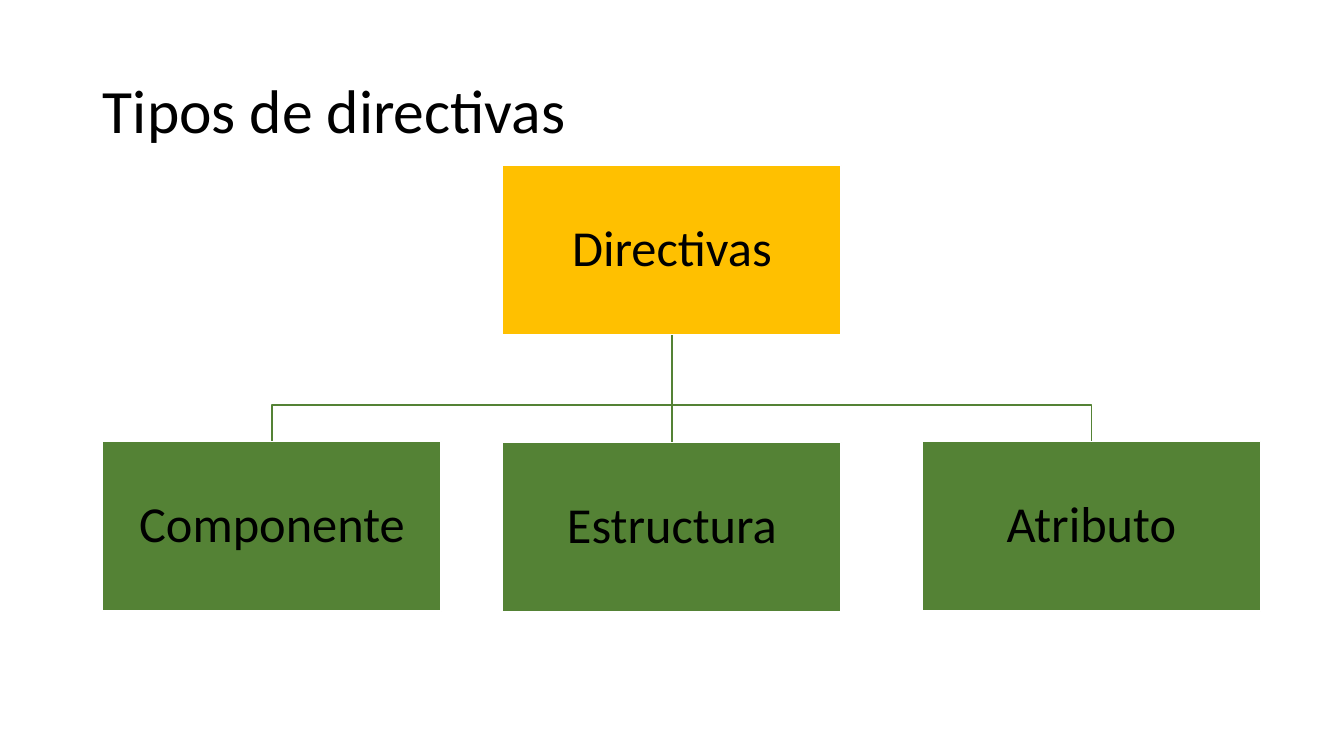
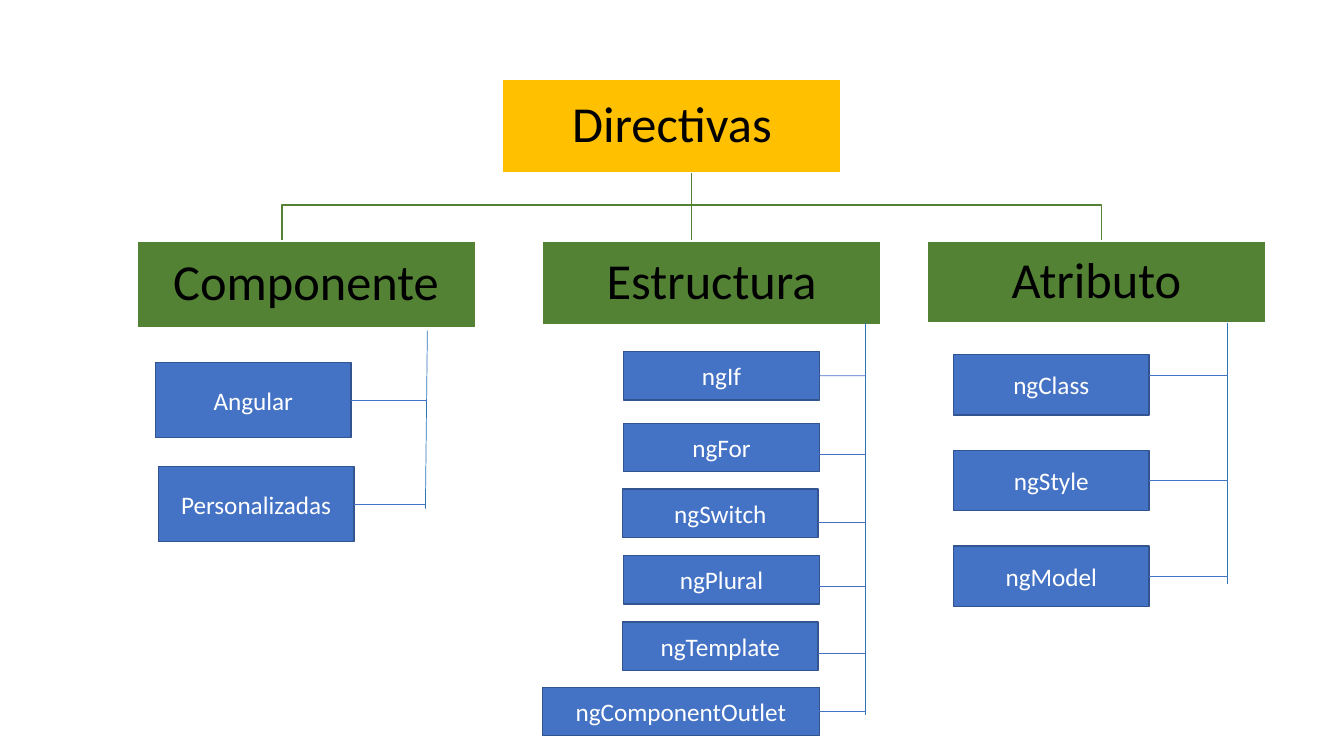
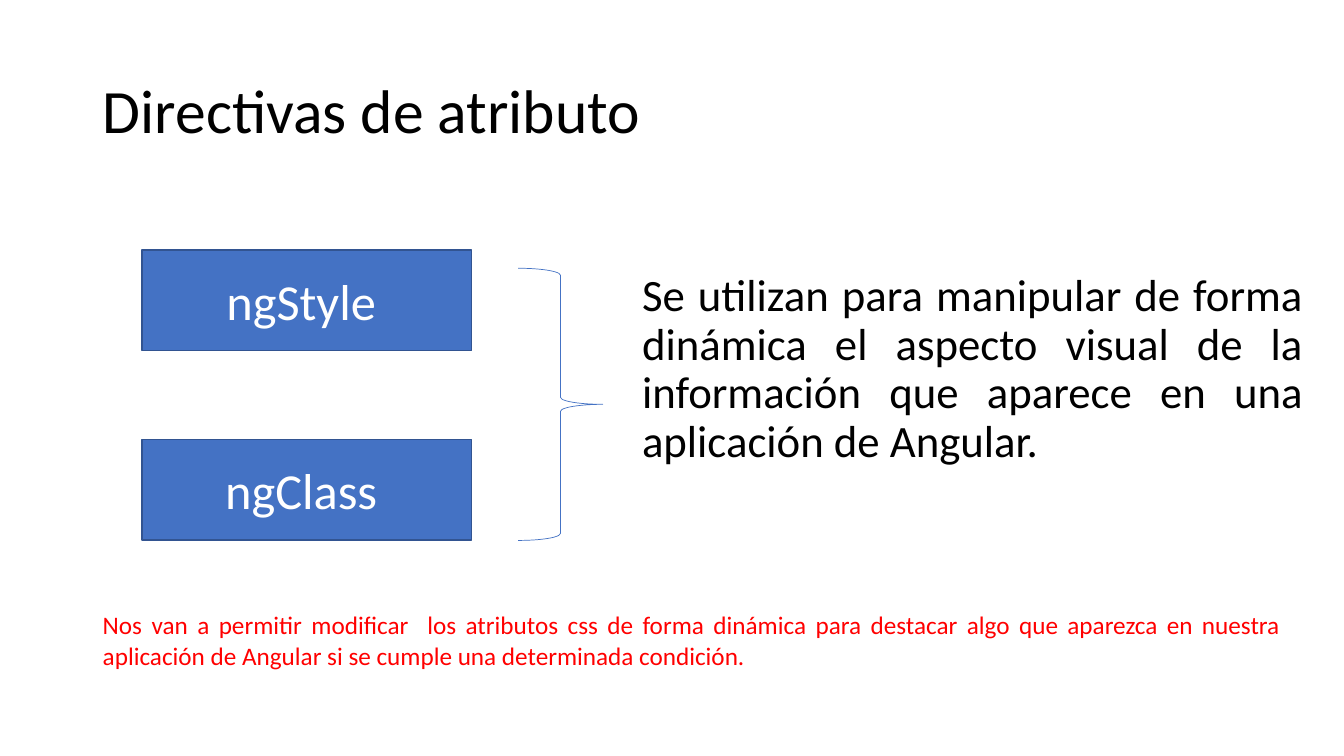
from lxml import etree
from pptx import Presentation
from pptx.dml.color import RGBColor
from pptx.enum.shapes import MSO_CONNECTOR, MSO_SHAPE
from pptx.enum.text import MSO_ANCHOR, MSO_AUTO_SIZE, PP_ALIGN
from pptx.oxml.ns import qn
from pptx.util import Cm, Pt

STRAIGHT = MSO_CONNECTOR.STRAIGHT
RECT, BRACE = MSO_SHAPE.RECTANGLE, MSO_SHAPE.RIGHT_BRACE
LEFT, CENTER, JUSTIFY = PP_ALIGN.LEFT, PP_ALIGN.CENTER, PP_ALIGN.JUSTIFY
TOP, MIDDLE = MSO_ANCHOR.TOP, MSO_ANCHOR.MIDDLE
NO_AUTOFIT = MSO_AUTO_SIZE.NONE
BOTTOM_SIDE, RIGHT_SIDE, TOP_SIDE = 2, 3, 0

FONT = "Calibri"
BLACK, WHITE, RED = "000000", "FFFFFF", "FF0000"
GOLD, GREEN = "FFC000", "548235"
BLUE, DARK_BLUE, TRUNK_BLUE = "4472C4", "325491", "2E75B6"
NODE_W, LEAF_W = 8.53, 4.93
TITLE_ONLY, BLANK = 5, 6


def rgb(value):
    return RGBColor.from_string(value)


def put_text(tf, text, size=18, color=BLACK, align=LEFT, anchor=TOP,
             spacing=1.0, before=0, margin=None):
    tf.word_wrap = True
    tf.auto_size = NO_AUTOFIT
    tf.vertical_anchor = anchor
    if margin is not None:
        tf.margin_left = tf.margin_right = Cm(margin)
        tf.margin_top = tf.margin_bottom = Cm(margin)
    p = tf.paragraphs[0]
    p.alignment = align
    p.line_spacing = spacing
    p.space_before = Pt(before)
    r = p.add_run()
    r.text = text
    r.font.name = FONT
    r.font.size = Pt(size)
    r.font.color.rgb = rgb(color)


def style(sp, fill, line, width=1):
    sp.shadow.inherit = False
    if fill:
        sp.fill.solid()
        sp.fill.fore_color.rgb = rgb(fill)
    else:
        sp.fill.background()
    sp.line.color.rgb = rgb(line)
    sp.line.width = Pt(width)


def add_slide(prs, title=None):
    s = prs.slides.add_slide(prs.slide_layouts[TITLE_ONLY if title else BLANK])
    if title:
        sp = s.shapes.title
        sp.left, sp.top, sp.width, sp.height = Cm(2.34), Cm(1.02), Cm(29.21), Cm(3.68)
        put_text(sp.text_frame, title, size=44, anchor=MIDDLE, spacing=0.9)
    return s


def box(s, x, y, w, h, text, fill, line, **fmt):
    sp = s.shapes.add_shape(RECT, Cm(x), Cm(y), Cm(w), Cm(h))
    style(sp, fill, line)
    put_text(sp.text_frame, text, align=CENTER, anchor=MIDDLE, **fmt)
    return sp


def node(s, x, y, h, text, fill=GREEN):
    return box(s, x, y, NODE_W, h, text, fill, WHITE, size=36, spacing=0.9, margin=0.07)


def leaf(s, x, y, w, h, text, size=18):
    return box(s, x, y, w, h, text, BLUE, DARK_BLUE, size=size, color=WHITE)


def textbox(s, x, y, w, h, text, **fmt):
    sp = s.shapes.add_textbox(Cm(x), Cm(y), Cm(w), Cm(h))
    put_text(sp.text_frame, text, **fmt)


def line(s, x1, y1, x2, y2, color, width=0.5):
    c = s.shapes.add_connector(STRAIGHT, Cm(x1), Cm(y1), Cm(x2), Cm(y2))
    c.line.color.rgb = rgb(color)
    c.line.width = Pt(width)
    etree.SubElement(c._element.spPr, qn("a:effectLst"))
    return c


def elbow(s, x1, y1, bus, x2, y2):
    fb = s.shapes.build_freeform(Cm(x1), Cm(y1))
    fb.add_line_segments([(Cm(x1), Cm(bus)), (Cm(x2), Cm(bus)), (Cm(x2), Cm(y2))],
                         close=False)
    style(fb.convert_to_shape(), None, GREEN)


def leaf_group(s, trunk, height, leaves):
    x1, y1, x2, y2 = trunk
    line(s, *trunk, TRUNK_BLUE)
    for text, x, y, w, link_y in leaves:
        sp = leaf(s, x, y, w, height, text)
        joined = link_y is None
        ly = y + height / 2 if joined else link_y
        c = line(s, x + w, ly, x1 + (x2 - x1) * (ly - y1) / (y2 - y1), ly, BLUE)
        if joined:
            c.begin_connect(sp, RIGHT_SIDE)


def types_slide(prs):
    s = add_slide(prs, "Tipos de directivas")
    root_x, root_y, h, bus = 12.67, 4.17, 4.27, 10.21
    branch_y, middle_y = 11.13, 11.15
    center, bottom = root_x + NODE_W / 2, root_y + h
    for x in (2.59, 23.24):
        elbow(s, center, bottom, bus, x + NODE_W / 2, branch_y)
    root = node(s, root_x, root_y, h, "Directivas", GOLD)
    node(s, 2.59, branch_y, h, "Componente")
    middle = node(s, root_x, middle_y, h, "Estructura")
    node(s, 23.24, branch_y, h, "Atributo")
    stem = line(s, center, bottom, center, middle_y, GREEN, 1)
    stem.begin_connect(root, BOTTOM_SIDE)
    stem.end_connect(middle, TOP_SIDE)


def tree_slide(prs):
    s = add_slide(prs)
    stem_x, stem_y, bus, branch_y = 17.43, 4.27, 5.17, 6.07
    for x in (7.11, 27.76):
        elbow(s, stem_x, stem_y, bus, x, branch_y)
    line(s, stem_x, stem_y, stem_x, branch_y, GREEN, 1)
    node(s, 12.67, 2.01, 2.34, "Directivas", GOLD)
    for text, x, h in (("Componente", 3.45, 2.18), ("Estructura", 13.67, 2.11),
                       ("Atributo", 23.37, 2.06)):
        node(s, x, branch_y, h, text)

    leaf_group(s, (10.77, 8.33, 10.72, 12.83), 1.89, [
        ("Angular", 3.92, 9.14, LEAF_W, None),
        ("Personalizadas", 3.99, 11.76, LEAF_W, None),
    ])
    leaf_group(s, (21.82, 8.13, 21.82, 18.01), 1.22, [
        ("ngIf", 15.72, 8.86, LEAF_W, None),
        ("ngFor", 15.72, 10.67, LEAF_W, 11.46),
        ("ngSwitch", 15.69, 12.32, LEAF_W, 13.16),
        ("ngPlural", 15.72, 14, LEAF_W, 14.78),
        ("ngTemplate", 15.69, 15.67, LEAF_W, 16.46),
        ("ngComponentOutlet", 13.67, 17.32, 6.98, None),
    ])
    links = (("ngClass", 9.45), ("ngStyle", None), ("ngModel", None))
    leaf_group(s, (30.94, 8.13, 30.94, 14.71), 1.52, [
        (text, 24.03, 8.94 + 2.41 * i, LEAF_W, link_y)
        for i, (text, link_y) in enumerate(links)
    ])


def attribute_slide(prs):
    s = add_slide(prs, "Directivas de atributo")
    textbox(s, 15.93, 6.76, 17.17, 6.86,
            "Se utilizan para manipular de forma dinámica el aspecto visual de la "
            "información que aparece en una aplicación de Angular.",
            size=32, align=JUSTIFY, spacing=0.9, before=10)
    for text, y in (("ngStyle ", 6.3), ("ngClass ", 11.07)):
        leaf(s, 3.58, y, 8.31, 2.54, text, size=36)
    brace = s.shapes.add_shape(BRACE, Cm(13.06), Cm(6.76), Cm(2.13), Cm(6.86))
    style(brace, None, BLUE, 0.5)
    textbox(s, 2.34, 15.24, 30.18, 2.57,
            "Nos van a permitir modificar  los atributos css de forma dinámica para "
            "destacar algo que aparezca en nuestra aplicación de Angular si se cumple "
            "una determinada condición.",
            color=RED, align=JUSTIFY)


def main():
    prs = Presentation()
    prs.slide_width, prs.slide_height = Cm(33.87), Cm(19.05)
    types_slide(prs)
    tree_slide(prs)
    attribute_slide(prs)
    prs.save("out.pptx")


if __name__ == "__main__":
    main()
